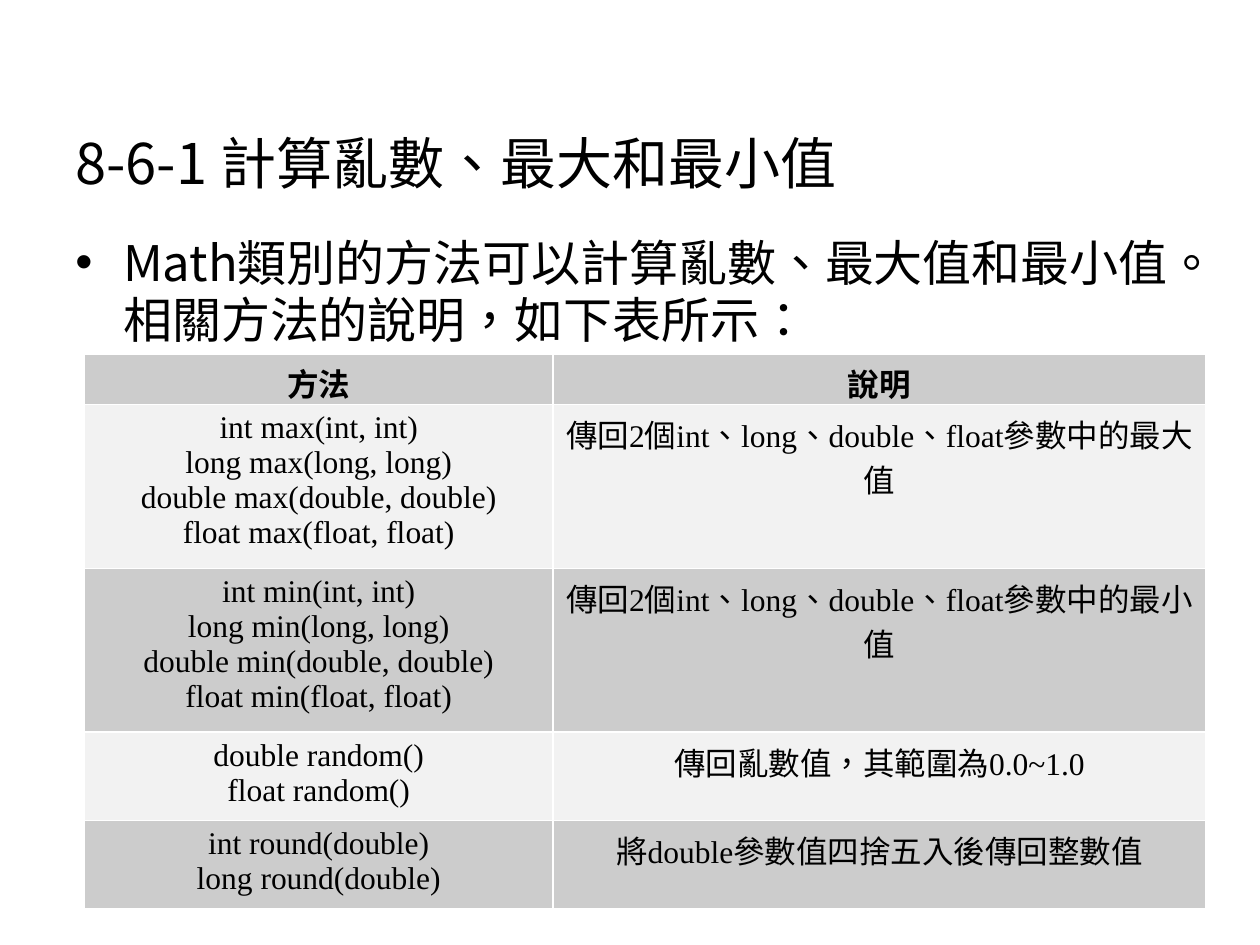
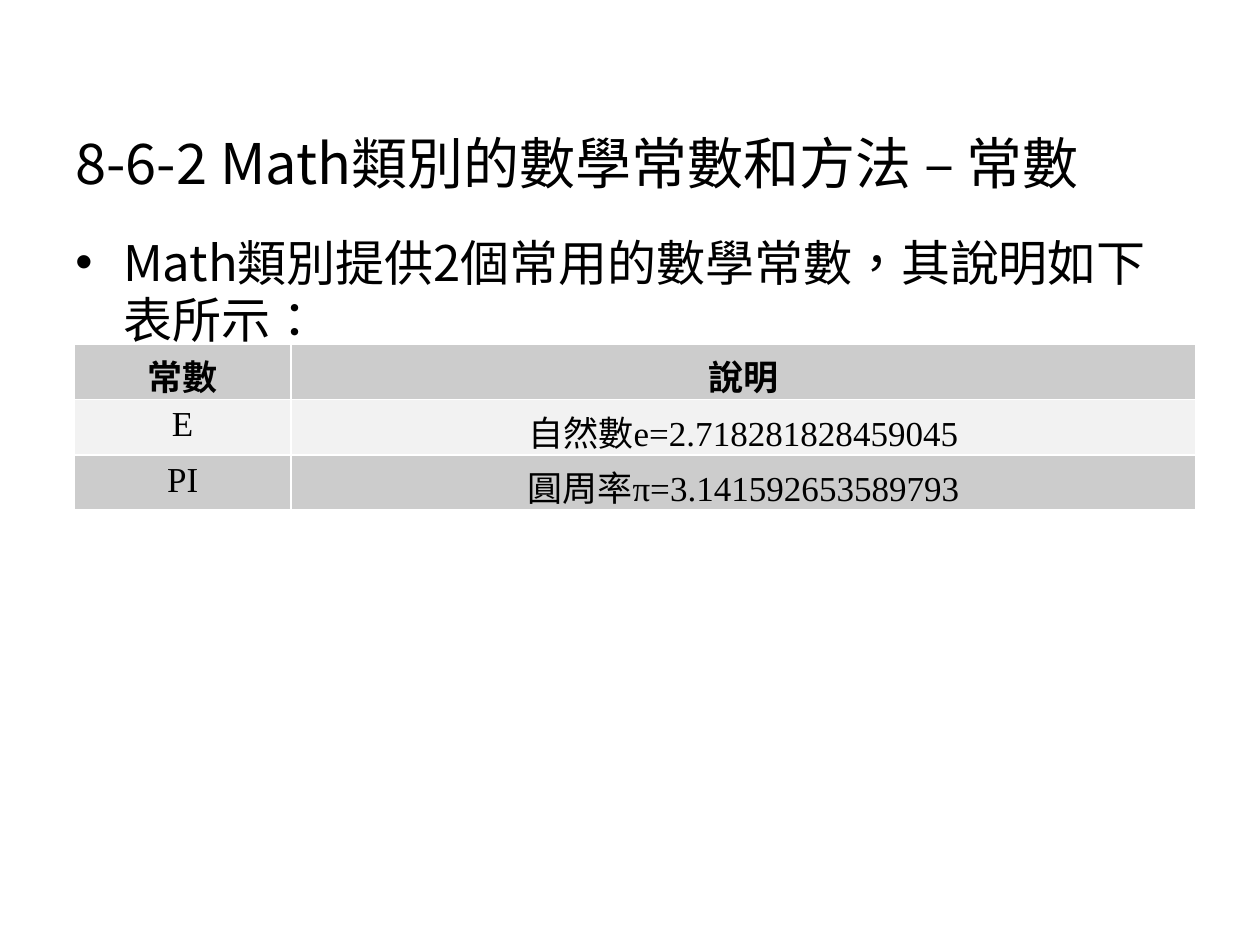
from lxml import etree
from pptx import Presentation
from pptx.dml.color import RGBColor
from pptx.enum.lang import MSO_LANGUAGE_ID
from pptx.enum.text import MSO_ANCHOR, PP_ALIGN
from pptx.oxml import parse_xml
from pptx.oxml.ns import qn
from pptx.util import Inches, Pt

SLIDES = [
    {
        "title": "8-6-1 計算亂數、最大和最小值",
        "point": "Math類別的方法可以計算亂數、最大值和最小值。相關方法的說明，如下表所示：",
        "place": (0.67, 2.81),
        "cols": (3.72, 5.18),
        "heights": (0.4, 1.3, 1.3, 0.7, 0.7),
        "size": 18,
        "rows": [
            ("方法", "說明"),
            ("int max(int, int)\nlong max(long, long)\n"
             "double max(double, double)\nfloat max(float, float)",
             "傳回2個int、long、double、float參數中的最大值"),
            ("int min(int, int)\nlong min(long, long)\n"
             "double min(double, double)\nfloat min(float, float)",
             "傳回2個int、long、double、float參數中的最小值"),
            ("double random()\nfloat random()", "傳回亂數值，其範圍為0.0~1.0"),
            ("int round(double)\nlong round(double)",
             "將double參數值四捨五入後傳回整數值"),
        ],
    },
    {
        "title": "8-6-2 Math類別的數學常數和方法 – 常數",
        "point": "Math類別提供2個常用的數學常數，其說明如下表所示：",
        "place": (0.59, 2.73),
        "cols": (1.72, 7.18),
        "heights": (0.44, 0.44, 0.44),
        "size": 20,
        "rows": [
            ("常數", "說明"),
            ("E", "自然數e=2.718281828459045"),
            ("PI", "圓周率π=3.141592653589793"),
        ],
    },
]

BLACK = RGBColor(0, 0, 0)
BANDS = (RGBColor(0xCC, 0xCC, 0xCC), RGBColor(0xF2, 0xF2, 0xF2))
SANS, SERIF = "Noto Sans CJK SC", "Times New Roman"
ZH = MSO_LANGUAGE_ID.TRADITIONAL_CHINESE
CENTER = PP_ALIGN.CENTER
TOP, BOTTOM = MSO_ANCHOR.TOP, MSO_ANCHOR.BOTTOM
NS = 'xmlns:a="http://schemas.openxmlformats.org/drawingml/2006/main"'
INDENT = Inches(0.38)


def style(para, text, **look):
    run = para.add_run()
    run.text = text
    run.font.color.rgb = BLACK
    run.font.language_id = ZH
    for key, value in look.items():
        setattr(run.font, key, value)
    east = etree.SubElement(run.font._element, qn("a:ea"))
    east.set("typeface", SANS)


def add_text(slide, text, box, size, **frame):
    """Add a one-paragraph text box and return the paragraph."""
    area = slide.shapes.add_textbox(*map(Inches, box)).text_frame
    area.word_wrap = True
    for key, value in frame.items():
        setattr(area, key, value)
    para = area.paragraphs[0]
    style(para, text, size=Pt(size), name=SANS)
    return para


def add_bullet(para):
    props = para._p.get_or_add_pPr()
    props.set("marL", str(INDENT))
    props.set("indent", str(-INDENT))
    for tag in ('buClr><a:srgbClr val="000000"/></a:buClr',
                'buFont typeface="Arial"/', 'buChar char="•"/'):
        head, gap, rest = tag.partition(" " if " char" in tag or " type" in tag else ">")
        props.append(parse_xml(f"<a:{head} {NS}{gap}{rest}>"))


def add_rules(cell):
    """Give a cell white borders on all four sides."""
    props = cell._tc.get_or_add_tcPr()
    for at, side in enumerate("LRTB"):
        props.insert(at, parse_xml(
            f'<a:ln{side} {NS} w="{Pt(0.96)}"><a:solidFill>'
            f'<a:srgbClr val="FFFFFF"/></a:solidFill></a:ln{side}>'))


def add_grid(slide, data):
    left, top = data["place"]
    rows, cols, heights = data["rows"], data["cols"], data["heights"]
    box = map(Inches, (left, top, sum(cols), sum(heights)))
    table = slide.shapes.add_table(len(rows), len(cols), *box).table
    for col, width in zip(table.columns, cols):
        col.width = Inches(width)
    for r, (row, height) in enumerate(zip(rows, heights)):
        table.rows[r].height = Inches(height)
        for c, text in enumerate(row):
            cell = table.cell(r, c)
            cell.fill.solid()
            cell.fill.fore_color.rgb = BANDS[r % 2]
            add_rules(cell)
            area = cell.text_frame
            for i, line in enumerate(text.split("\n")):
                para = area.add_paragraph() if i else area.paragraphs[0]
                para.alignment = CENTER
                style(para, line, size=Pt(data["size"]), name=SERIF, bold=r == 0)


def main():
    deck = Presentation()
    deck.slide_width, deck.slide_height = Inches(10), Inches(7.5)
    for data in SLIDES:
        slide = deck.slides.add_slide(deck.slide_layouts[6])
        add_text(slide, data["title"], (0.5, 0.3, 9, 1.25), 32,
                 vertical_anchor=BOTTOM, margin_bottom=0)
        point = add_text(slide, data["point"], (0.5, 1.75, 9, 4.95), 28,
                         vertical_anchor=TOP, margin_top=Inches(0.1))
        point.line_spacing = Pt(33)
        add_bullet(point)
        add_grid(slide, data)
    deck.save("out.pptx")


if __name__ == "__main__":
    main()
